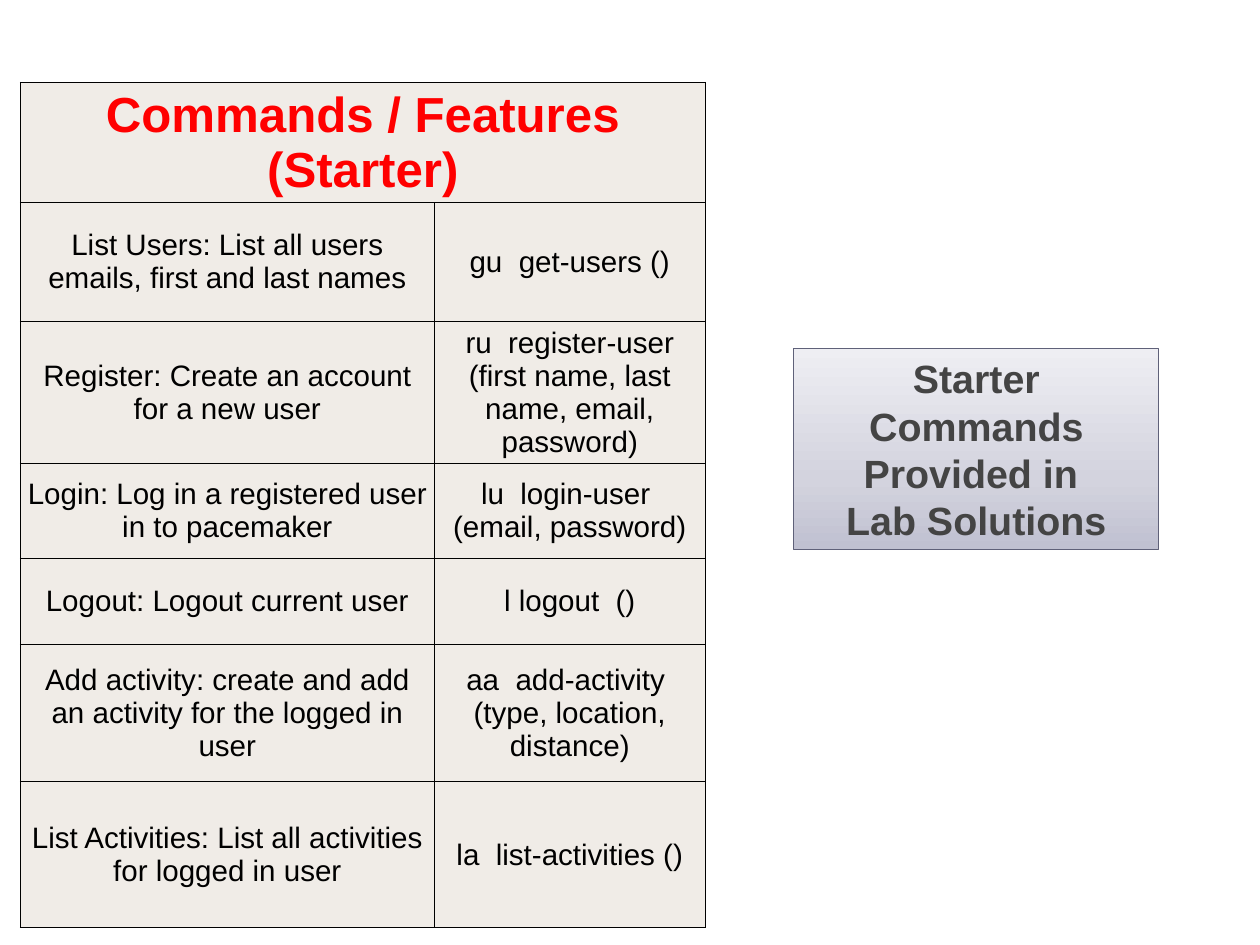
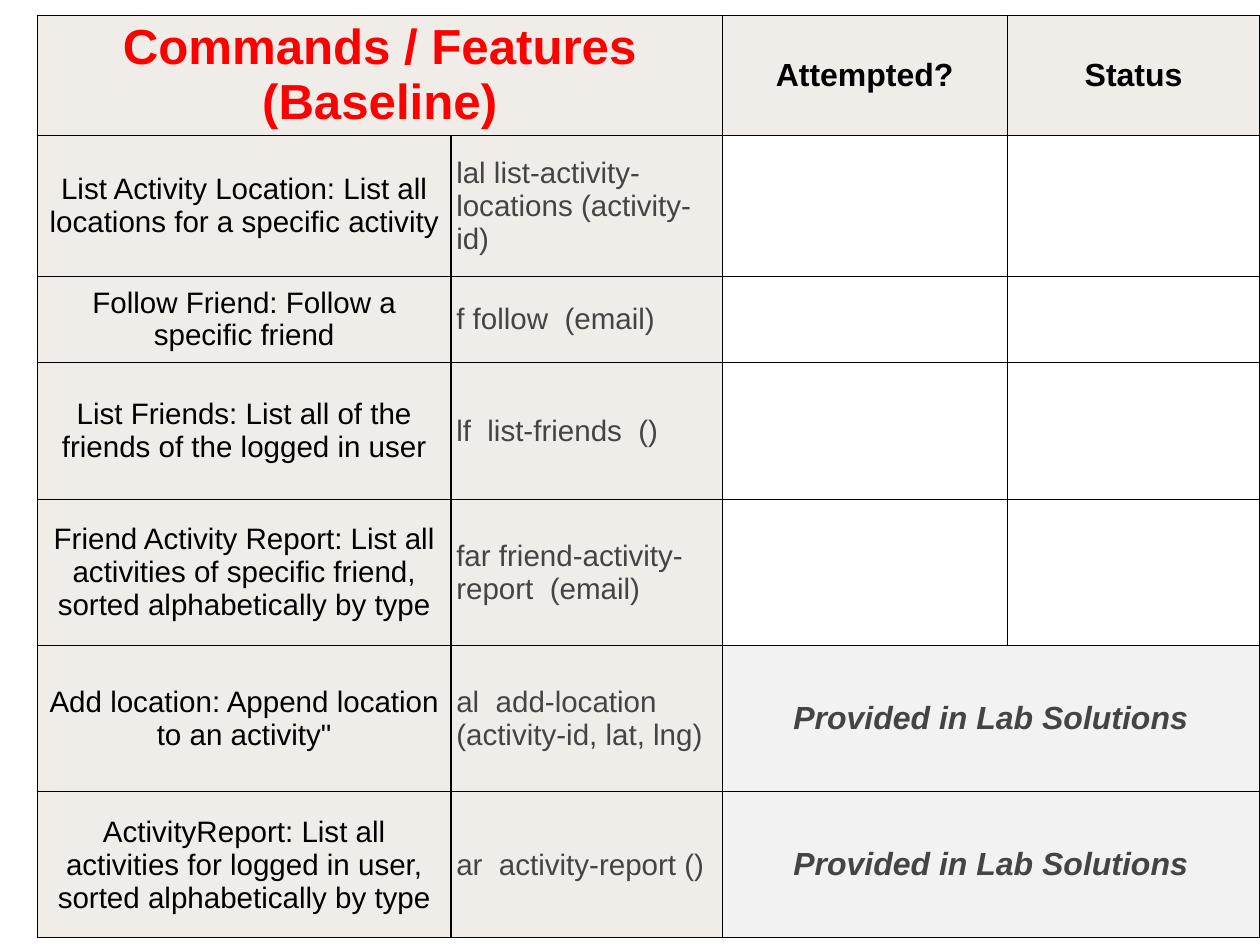
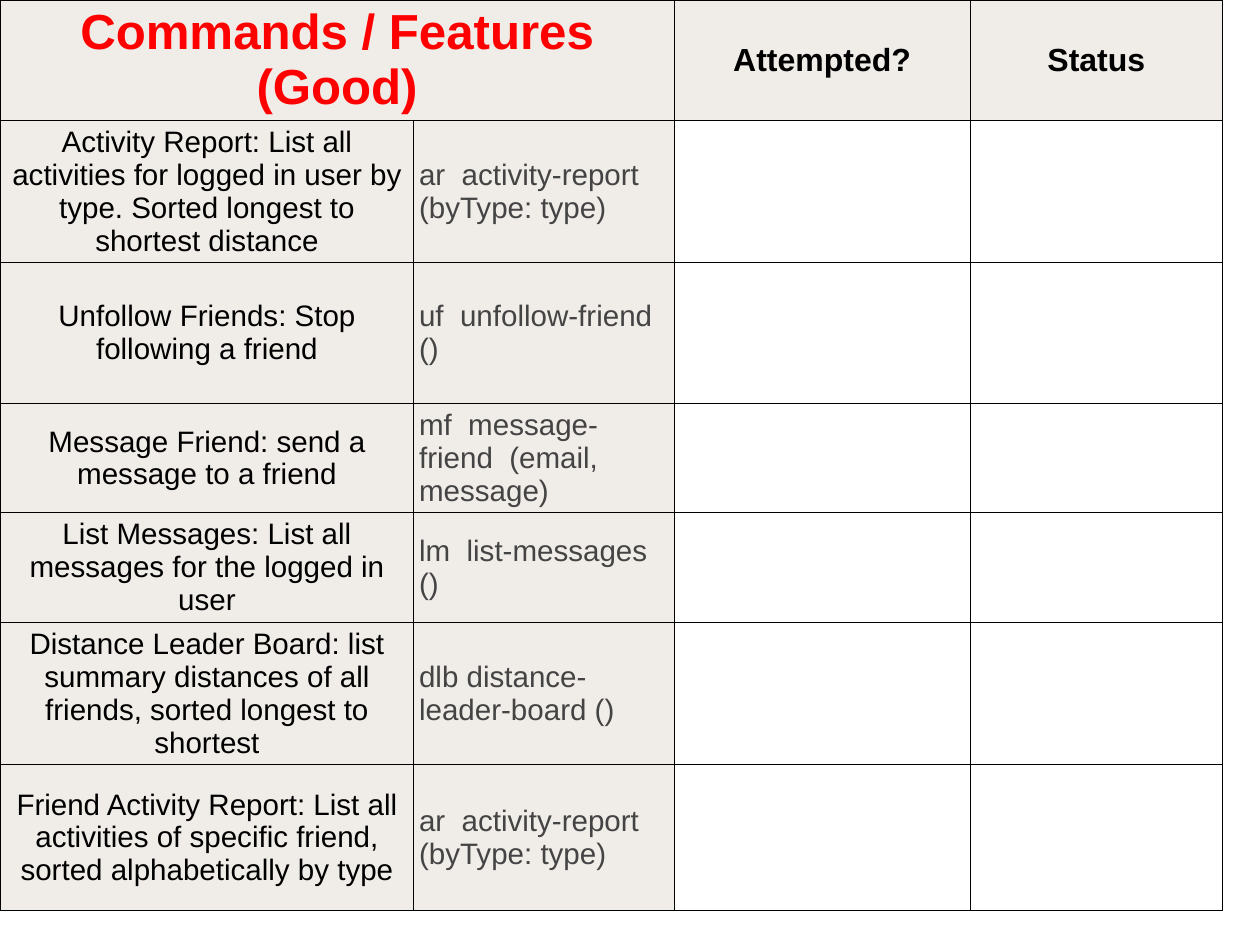
from dataclasses import dataclass

from lxml import etree
from pptx import Presentation
from pptx.dml.color import RGBColor
from pptx.enum.shapes import MSO_SHAPE
from pptx.enum.text import MSO_ANCHOR, PP_ALIGN
from pptx.oxml.ns import qn
from pptx.util import Inches, Pt

RECTANGLE = MSO_SHAPE.RECTANGLE
MIDDLE = MSO_ANCHOR.MIDDLE
CENTER, LEFT = PP_ALIGN.CENTER, PP_ALIGN.LEFT


# Theme
@dataclass(frozen=True)
class Theme:
    font: str = "Arial"
    red: str = "FF0000"
    black: str = "000000"
    gray: str = "444444"
    cell_fill: str = "F0ECE7"
    provided_fill: str = "F2F2F2"
    outline: str = "5F6179"
    gradient: tuple = ((0, "C0C1D1"), (35, "D3D3DE"), (100, "EEEEF3"))
    title_size: int = 40
    callout_size: int = 32
    heading_size: int = 26
    body_size: int = 24
    border: int = 1
    margin: float = 0.06


THEME = Theme()


def text_format(size, color, bold=False, italic=False):
    return {"name": THEME.font, "size": Pt(size), "bold": bold,
            "italic": italic, "color": color}


TITLE = text_format(THEME.title_size, THEME.red, bold=True)
HEADING = text_format(THEME.heading_size, THEME.black, bold=True)
FEATURE = text_format(THEME.body_size, THEME.black)
COMMAND = text_format(THEME.body_size, THEME.gray)
PROVIDED = text_format(THEME.heading_size, THEME.gray, bold=True, italic=True)
CALLOUT = text_format(THEME.callout_size, THEME.gray, bold=True)

# Content
PROVIDED_TEXT = "Provided in Lab Solutions"
STATUS_HEADINGS = ("Attempted?", "Status")
HEADER_HEIGHT = 1.34

# Each row: height, feature, command and, where the lab covers it, a remark
STARTER_ROWS = [
    (1.34, "List Users: List all users emails, first and last names",
     "gu  get-users ()"),
    (1.6, "Register: Create an account for a new user",
     "ru  register-user (first name, last name, email, password)"),
    (1.07, "Login: Log in a registered user in to pacemaker",
     "lu  login-user  (email, password)"),
    (0.97, "Logout: Logout current user", "l logout  ()"),
    (1.55, "Add activity: create and add an activity for the logged in user",
     "aa  add-activity  (type, location, distance)"),
    (1.65, "List Activities: List all activities for logged in user",
     "la  list-activities ()"),
]
BASELINE_ROWS = [
    (1.59, "List Activity Location: List all locations for a specific activity",
     "lal list-activity-locations (activity-id)"),
    (0.97, "Follow Friend: Follow a specific friend", "f follow  (email)"),
    (1.55, "List Friends: List all of the friends of the logged in user",
     "lf  list-friends  ()"),
    (1.65, "Friend Activity Report: List all activities of specific friend, "
     "sorted alphabetically by type", "far friend-activity-report  (email)"),
    (1.65, 'Add location: Append location to an activity"',
     "al  add-location  (activity-id, lat, lng)", PROVIDED_TEXT),
    (1.65, "ActivityReport: List all activities for logged in user, "
     "sorted alphabetically by type", "ar  activity-report ()", PROVIDED_TEXT),
]
GOOD_ROWS = [
    (1.6, "Activity Report: List all activities for logged in user by type. "
     "Sorted longest to shortest distance",
     "ar  activity-report (byType: type)"),
    (1.59, "Unfollow Friends: Stop following a friend",
     "uf  unfollow-friend ()"),
    (1.22, "Message Friend: send a message to a friend",
     "mf  message-friend  (email, message)"),
    (1.22, "List Messages: List all messages for the logged in user",
     "lm  list-messages ()"),
    (1.59, "Distance Leader Board: list summary distances of all friends, "
     "sorted longest to shortest", "dlb distance-leader-board ()"),
    (1.65, "Friend Activity Report: List all activities of specific friend, "
     "sorted alphabetically by type", "ar  activity-report (byType: type)"),
]


# Text and cells
def write(para, text, style, align=CENTER):
    para.alignment = align
    span = para.add_run()
    span.text = text
    for name, value in style.items():
        if name == "color":
            span.font.color.rgb = RGBColor.from_string(value)
        else:
            setattr(span.font, name, value)


def add_borders(cell):
    properties = cell._tc.get_or_add_tcPr()
    for side in ("lnL", "lnR", "lnT", "lnB"):
        line = etree.SubElement(properties, qn(f"a:{side}"),
                                w=str(Pt(THEME.border)))
        fill = etree.SubElement(line, qn("a:solidFill"))
        etree.SubElement(fill, qn("a:srgbClr"), val=THEME.black)


def fill_cell(cell, text, style, align=CENTER, fill=THEME.cell_fill):
    cell.fill.solid()
    cell.fill.fore_color.rgb = RGBColor.from_string(fill)
    cell.vertical_anchor = MIDDLE
    for side in ("left", "right", "top", "bottom"):
        setattr(cell, f"margin_{side}", Inches(THEME.margin))
    write(cell.text_frame.paragraphs[0], text, style, align)


# Command table
def add_grid(page, left, top, widths, heights):
    frame = page.shapes.add_table(
        len(heights), len(widths), Inches(left), Inches(top),
        Inches(sum(widths)), Inches(sum(heights)))
    table = frame.table
    table.first_row = table.horz_banding = False
    for column, width in zip(table.columns, widths):
        column.width = Inches(width)
    for row, height in zip(table.rows, heights):
        row.height = Inches(height)
    for cell in table.iter_cells():
        add_borders(cell)
        cell.fill.background()
    return table


def add_command_table(page, left, top, widths, title, rows, headings=(),
                      command_style=COMMAND, command_align=LEFT):
    heights = [HEADER_HEIGHT] + [row[0] for row in rows]
    table = add_grid(page, left, top, widths, heights)
    table.cell(0, 0).merge(table.cell(0, 1))
    fill_cell(table.cell(0, 0), title, TITLE)
    for column, heading in enumerate(headings, 2):
        fill_cell(table.cell(0, column), heading, HEADING)
    for index, (_, feature, command, *remarks) in enumerate(rows, 1):
        fill_cell(table.cell(index, 0), feature, FEATURE)
        fill_cell(table.cell(index, 1), command, command_style, command_align)
        for remark in remarks:
            table.cell(index, 2).merge(table.cell(index, 3))
            fill_cell(table.cell(index, 2), remark, PROVIDED,
                      fill=THEME.provided_fill)


# Gradient callout
def add_callout(page, left, top, width, height, lines):
    box = page.shapes.add_shape(RECTANGLE, Inches(left), Inches(top),
                                Inches(width), Inches(height))
    box.shadow.inherit = False
    box.line.color.rgb = RGBColor.from_string(THEME.outline)
    box.line.width = Pt(0.75)
    box.fill.gradient()
    box.fill.gradient_angle = 90
    stops = box._element.spPr.find(f".//{qn('a:gsLst')}")
    stops.clear()
    for position, color in THEME.gradient:
        stop = etree.SubElement(stops, qn("a:gs"), pos=str(position * 1000))
        etree.SubElement(stop, qn("a:srgbClr"), val=color)
    frame = box.text_frame
    frame.word_wrap = True
    frame.vertical_anchor = MIDDLE
    for index, line in enumerate(lines):
        para = frame.add_paragraph() if index else frame.paragraphs[0]
        write(para, line, CALLOUT)


def main():
    deck = Presentation()
    deck.slide_width, deck.slide_height = Inches(14.22), Inches(10.67)
    blank = deck.slide_layouts[6]
    starter, baseline, good = [deck.slides.add_slide(blank) for _ in range(3)]

    # Starter commands
    add_command_table(starter, 0.23, 0.93, (4.67, 3.06),
                      "Commands / Features (Starter)", STARTER_ROWS,
                      command_style=FEATURE, command_align=CENTER)
    add_callout(starter, 8.96, 3.94, 4.12, 2.26,
                ("Starter Commands Provided in ", "Lab Solutions"))

    # Baseline commands
    add_command_table(baseline, 0.42, 0.17, (4.67, 3.06, 3.22, 2.85),
                      "Commands / Features (Baseline)", BASELINE_ROWS,
                      STATUS_HEADINGS)

    # Good commands
    add_command_table(good, 0, 0, (4.67, 2.94, 3.34, 2.85),
                      "Commands / Features (Good)", GOOD_ROWS,
                      STATUS_HEADINGS)

    deck.save("out.pptx")


main()
